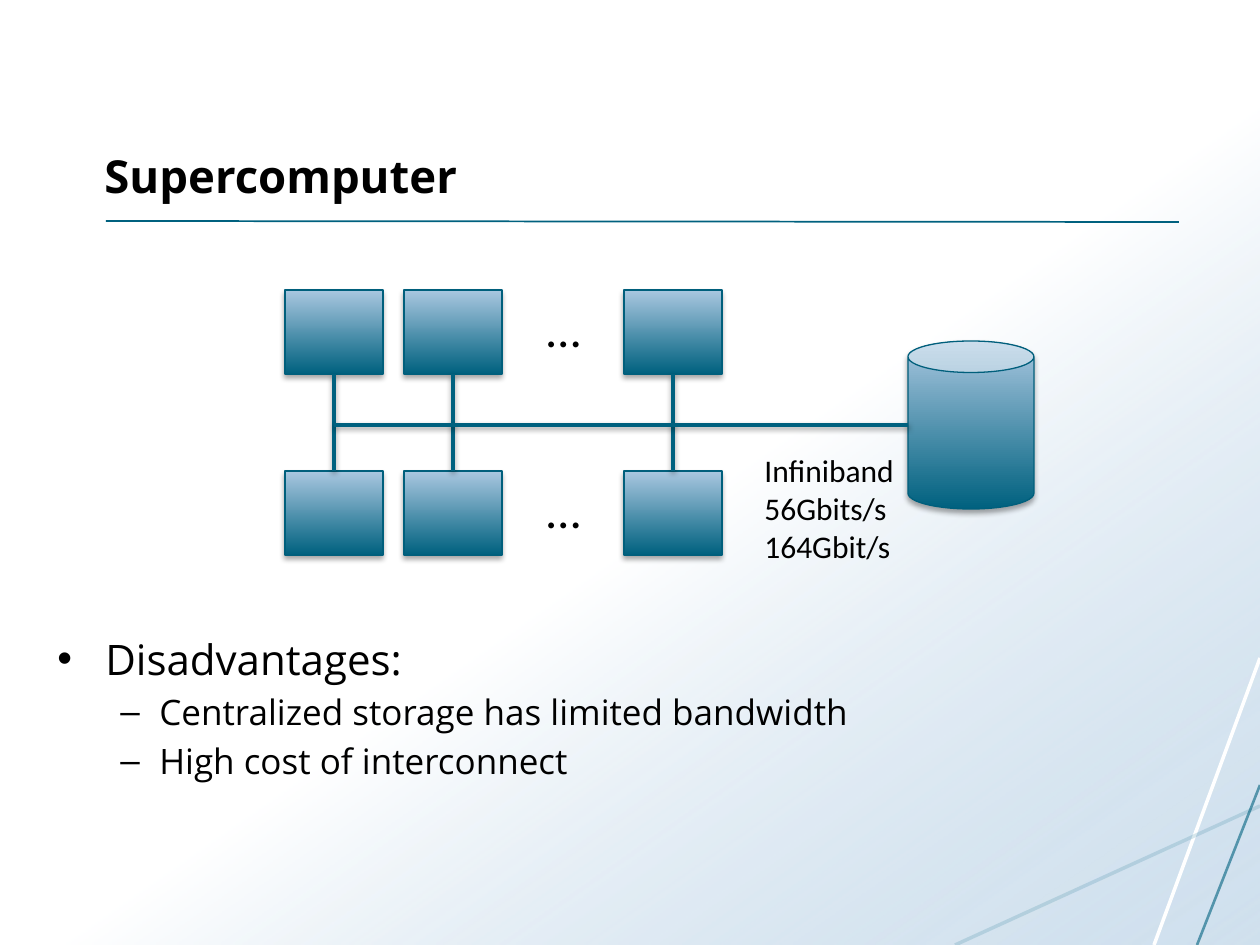
import lxml.etree
import pptx
import pptx.dml.color
import pptx.enum.shapes
import pptx.enum.text
import pptx.oxml
import pptx.oxml.ns
import pptx.util

SCALE = 914400 / 126
COLORS = {
    "text": "000000",
    "white": "FFFFFF",
    "teal": "00617F",
    "edge": "005F7C",
    "sea": "15718F",
    "sky": "A9C7E0",
}
SHAPES = pptx.enum.shapes.MSO_SHAPE
ALIGN = pptx.enum.text.PP_ALIGN
ANCHOR = pptx.enum.text.MSO_ANCHOR


def px(value):
    return pptx.util.Emu(round(value * SCALE))


def color(name):
    return pptx.dml.color.RGBColor.from_string(COLORS[name])


def add_element(parent, tag, **attributes):
    element = lxml.etree.SubElement(parent, pptx.oxml.ns.qn(tag))
    for key, value in attributes.items():
        element.set(key, str(value))
    return element


def add_color(parent, name, opacity=100):
    element = add_element(parent, "a:srgbClr", val=COLORS[name])
    if opacity < 100:
        add_element(element, "a:alpha", val=opacity * 1000)


def set_gradient(shape, stops, angle):
    shape.fill.gradient()
    gradient = shape._element.spPr.find(pptx.oxml.ns.qn("a:gradFill"))
    for child in list(gradient):
        gradient.remove(child)
    stop_list = add_element(gradient, "a:gsLst")
    for position, name, opacity in stops:
        stop = add_element(stop_list, "a:gs", pos=position * 1000)
        add_color(stop, name, opacity)
    add_element(gradient, "a:lin", ang=angle * 60000, scaled=0)


def set_shadow(shape, distance=None, opacity=35):
    properties = shape._element.spPr
    for old in properties.findall(pptx.oxml.ns.qn("a:effectLst")):
        properties.remove(old)
    effects = add_element(properties, "a:effectLst")
    if distance:
        shadow = add_element(
            effects, "a:outerShdw", blurRad=pptx.util.Pt(3.1),
            dist=pptx.util.Pt(distance), dir=90 * 60000, rotWithShape=0)
        add_color(shadow, "text", opacity)


def add_line(slide, start, end, name="teal", width=2, opacity=100, shadow=None):
    line = slide.shapes.add_connector(
        pptx.enum.shapes.MSO_CONNECTOR.STRAIGHT, *map(px, start + end))
    line.line.color.rgb = color(name)
    line.line.width = pptx.util.Pt(width)
    if opacity < 100:
        fill = line.line._ln.find(pptx.oxml.ns.qn("a:solidFill"))
        fill.clear()
        add_color(fill, name, opacity)
    set_shadow(line, shadow, 38)


def add_device(slide, kind, box):
    shape = slide.shapes.add_shape(kind, *map(px, box))
    shape.line.color.rgb = color("edge")
    shape.line.width = pptx.util.Pt(0.75)
    set_gradient(shape, [(0, "teal", 100), (100, "sky", 100)], 270)
    set_shadow(shape, 1.8)


def add_text_box(slide, box, wrap=True, anchor=ANCHOR.TOP):
    frame = slide.shapes.add_textbox(*map(px, box)).text_frame
    frame.word_wrap = wrap
    frame.vertical_anchor = anchor
    return frame


def write_text(paragraph, text, size, font="Open Sans", bold=False,
               align=ALIGN.LEFT, before=0):
    paragraph.text = text
    paragraph.alignment = align
    paragraph.space_before = pptx.util.Pt(before)
    for run in paragraph.runs:
        run.font.name = font
        run.font.size = pptx.util.Pt(size)
        run.font.bold = bold
        run.font.color.rgb = color("text")


def set_bullet(paragraph, character, margin, hanging):
    properties = paragraph._p.get_or_add_pPr()
    properties.set("marL", str(px(margin)))
    properties.set("indent", str(-px(hanging)))
    add_element(properties, "a:buFont", typeface="Arial")
    add_element(properties, "a:buChar", char=character)


def add_background(slide, box):
    left, top, width, height = box
    right, bottom = left + width, top + height
    shape = slide.shapes.add_shape(SHAPES.RECTANGLE, *map(px, box))
    shape.shadow.inherit = False
    shape.line.fill.background()
    set_gradient(shape, [(54, "white", 100), (100, "sky", 54)], 55)
    add_line(slide, (right, top + 658), (right - 106, bottom), "white")
    add_line(slide, (right, top + 806), (right - 305, bottom), "sea", opacity=16)
    add_line(slide, (right, top + 785), (right - 63, bottom), "teal", 1.5, 60)


def add_title(slide, box):
    left, top, width, height = box
    add_line(slide, (left + 14, top + 179), (left + 1087, top + 180), width=1)
    frame = add_text_box(slide, box, anchor=ANCHOR.BOTTOM)
    write_text(frame.paragraphs[0], "Supercomputer", 26, bold=True)


def add_diagram(slide, box):
    left, top, width, height = box
    node_width, node_height, row_gap = 98, 84, 181
    columns = [left, left + 119, left + 339]
    rows = [top, top + row_gap]
    bus = top + 135
    storage_left = left + 623
    for row in rows:
        for column in columns:
            add_device(slide, SHAPES.RECTANGLE,
                       (column, row, node_width, node_height))
        frame = add_text_box(slide, (left + 218, row + 2, 121, 72))
        write_text(frame.paragraphs[0], "…", 28, "Calibri", align=ALIGN.CENTER)
    add_device(slide, SHAPES.CAN,
               (storage_left, top + 51, left + width - storage_left, 168))
    centers = [column + node_width // 2 for column in columns]
    for center in centers:
        add_line(slide, (center, top + node_height), (center, rows[1]), shadow=1.6)
    add_line(slide, (centers[0], bus), (storage_left, bus), shadow=1.6)
    frame = add_text_box(slide, (left + 467, top + 155, 156, height - 155), wrap=False)
    write_text(frame.paragraphs[0], "Infiniband\n56Gbits/s\n164Gbit/s", 18, "Calibri")


def add_body(slide, box):
    frame = add_text_box(slide, box)
    heading = frame.paragraphs[0]
    write_text(heading, "Disadvantages:", 24)
    set_bullet(heading, "•", 48, 48)
    for text in ("Centralized storage has limited bandwidth",
                 "High cost of interconnect"):
        item = frame.add_paragraph()
        item.level = 1
        write_text(item, text, 20, before=4)
        set_bullet(item, "–", 102, 39)


def main():
    presentation = pptx.Presentation()
    presentation.slide_width = px(1260)
    presentation.slide_height = px(945)
    slide = presentation.slides.add_slide(presentation.slide_layouts[6])
    add_background(slide, (0, 0, 1260, 945))
    add_title(slide, (92, 42, 1086, 167))
    add_body(slide, (45, 627, 1134, 217))
    add_diagram(slide, (285, 290, 749, 282))
    presentation.save("out.pptx")


if __name__ == "__main__":
    main()
